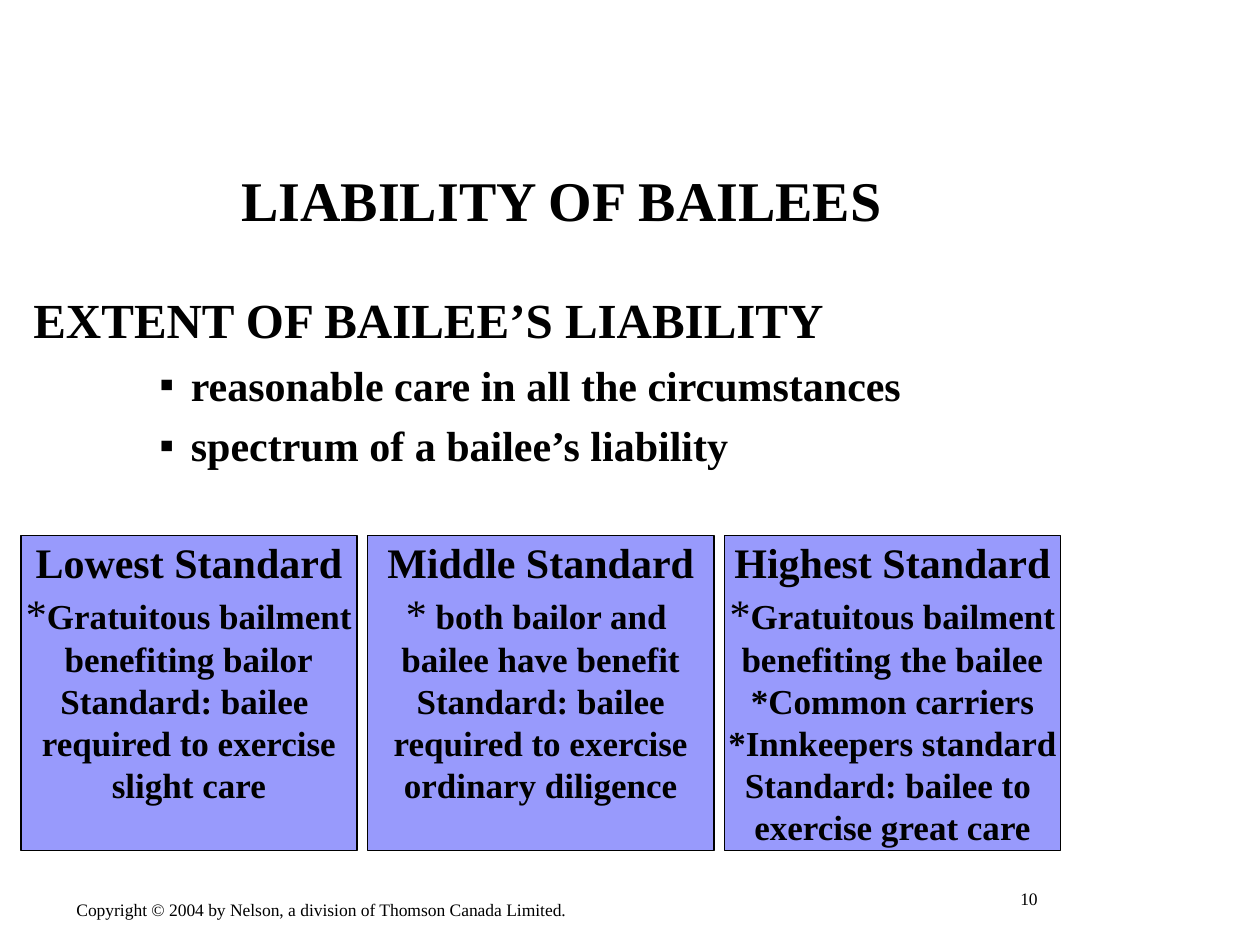
from lxml.etree import SubElement
from pptx import Presentation
from pptx.dml.color import RGBColor
from pptx.enum.shapes import MSO_SHAPE as Shape
from pptx.enum.text import MSO_ANCHOR as Anchor, MSO_AUTO_SIZE as AutoSize, PP_ALIGN as Align
from pptx.oxml.ns import qn
from pptx.util import Inches, Pt

FONT = "Times New Roman"
BLACK, CARD_BLUE = "000000", "989AFC"
COLUMNS, ROWS = 120, 90
CARD_TOP, CARD_ROWS, CARD_GAP = 51, 30, 1
BULLETS = ["reasonable care in all the circumstances", "spectrum of a bailee’s liability"]
# Each card: width in columns, heading, text after the star, further lines
CARDS = [
    (32, "Lowest Standard", "Gratuitous bailment",
     ["benefiting bailor", "Standard: bailee ", "required to exercise", "slight care"]),
    (33, "Middle Standard", " both bailor and ",
     ["bailee have benefit", "Standard: bailee", "required to exercise", "ordinary diligence"]),
    (32, "Highest Standard", "Gratuitous bailment",
     ["benefiting the bailee", "*Common carriers", "*Innkeepers standard",
      "Standard: bailee to ", "exercise great care"]),
]


def colour(value):
    return RGBColor.from_string(value)


def grid(left, top, width, height):
    """Turn columns and rows of the page grid into lengths."""
    column, row = Inches(10) / COLUMNS, Inches(7.5) / ROWS
    return [round(n * unit) for n, unit in zip((left, top, width, height), (column, row) * 2)]


def apply(target, **formats):
    for name, value in formats.items():
        setattr(target, name, value)


def write(para, *spans, **formats):
    """Fill a paragraph with (text, size, bold) spans."""
    apply(para, **formats)
    for text, size, bold in spans:
        span = para.add_run()
        span.text = text
        apply(span.font, name=FONT, size=Pt(size), bold=bold)
        span.font.color.rgb = colour(BLACK)


def add_bullet(para):
    props = para._p.get_or_add_pPr()
    props.set("marL", str(Inches(1.25)))
    props.set("indent", str(Inches(-0.25)))
    SubElement(props, qn("a:buFont"), typeface=FONT)
    SubElement(props, qn("a:buChar"), char="▪")


def add_title(page, box):
    title = page.shapes.title
    apply(title, **dict(zip(("left", "top", "width", "height"), grid(*box))))
    apply(title.text_frame, vertical_anchor=Anchor.MIDDLE, auto_size=AutoSize.NONE)
    write(title.text_frame.paragraphs[0], ("LIABILITY OF BAILEES", 32, True),
          alignment=Align.CENTER)


def add_extent(page, box):
    """Place the subheading and its bullets."""
    frame = page.shapes.add_textbox(*grid(*box)).text_frame
    frame.word_wrap = True
    write(frame.paragraphs[0], ("EXTENT OF BAILEE’S LIABILITY", 28, True))
    for text in BULLETS:
        para = frame.add_paragraph()
        add_bullet(para)
        write(para, (text, 24, True), level=2, space_before=Pt(6))


def add_card(page, box, heading, starred, lines):
    card = page.shapes.add_shape(Shape.RECTANGLE, *grid(*box))
    card.shadow.inherit = False
    card.fill.solid()
    card.fill.fore_color.rgb = colour(CARD_BLUE)
    card.line.color.rgb = colour(BLACK)
    card.line.width = Pt(0.75)
    frame = card.text_frame
    apply(frame, word_wrap=False, vertical_anchor=Anchor.TOP,
          margin_top=Inches(0.01), margin_bottom=0)
    write(frame.paragraphs[0], (heading, 24, True), alignment=Align.CENTER)
    write(frame.add_paragraph(), ("*", 24, False), (starred, 20, True), alignment=Align.CENTER)
    for line in lines:
        write(frame.add_paragraph(), (line, 20, True), alignment=Align.CENTER)


def add_cards(page, left):
    for width, *content in CARDS:
        add_card(page, (left, CARD_TOP, width, CARD_ROWS), *content)
        left += width + CARD_GAP


def add_small_print(page, box, text, wrap, alignment):
    frame = page.shapes.add_textbox(*grid(*box)).text_frame
    frame.word_wrap = wrap
    write(frame.paragraphs[0], (text, 10, False), alignment=alignment)


def main():
    deck = Presentation()
    apply(deck, slide_width=Inches(10), slide_height=Inches(7.5))
    page = deck.slides.add_slide(deck.slide_layouts[5])
    add_title(page, (7, 13, 93, 12))
    add_extent(page, (2, 27, 98, 23))
    add_cards(page, 2)
    add_small_print(page, (6.1, 85, 49, 3.2),
                    "Copyright © 2004 by Nelson, a division of Thomson Canada Limited.",
                    False, Align.LEFT)
    add_small_print(page, (84, 84, 16, 5), "10", True, Align.RIGHT)
    deck.save("out.pptx")


if __name__ == "__main__":
    main()
